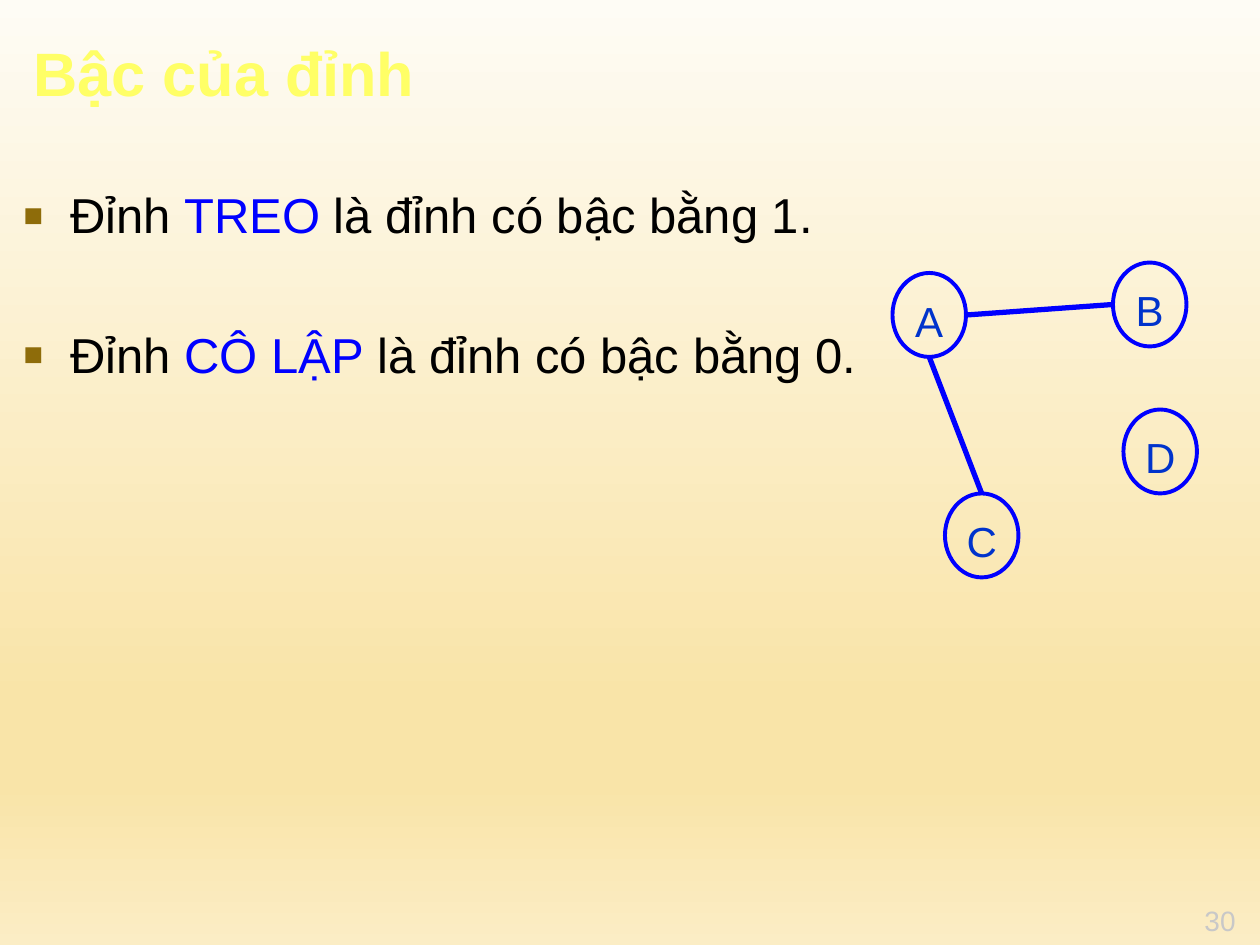
from dataclasses import dataclass

from lxml.etree import SubElement
from pptx import Presentation
from pptx.dml.color import RGBColor
from pptx.enum.shapes import MSO_CONNECTOR, MSO_SHAPE
from pptx.enum.text import MSO_ANCHOR, PP_ALIGN
from pptx.oxml.ns import qn
from pptx.slide import Slide
from pptx.text.text import TextFrame, _Paragraph
from pptx.util import Pt


@dataclass(frozen=True)
class Theme:
    font: str = "Arial"
    title: str = "FFFF66"
    body: str = "000000"
    accent: str = "0000FF"
    vertex_label: str = "0033CC"
    bullet: str = "8E6C0A"
    page: str = "C8C8C8"
    background: tuple = ((0, "FEFCF5"), (74, "F9E4A8"), (83, "F9E4A8"), (100, "FBEDC5"))
    title_size: float = 35
    body_size: float = 28
    vertex_size: float = 24
    page_size: float = 16


@dataclass(frozen=True)
class Vertex:
    label: str
    left: float
    top: float
    width: float = 42
    height: float = 48

    @property
    def middle(self) -> float:
        return self.top + self.height / 2

    @property
    def centre(self) -> float:
        return self.left + self.width / 2


@dataclass(frozen=True)
class Definition:
    before: str
    term: str
    after: str
    space_before: float


THEME = Theme()
A = Vertex("A", 510, 156)
B = Vertex("B", 636, 150)
C = Vertex("C", 540, 282)
D = Vertex("D", 642, 234)
EDGES = (
    ((A.left + A.width, A.middle), (B.left, B.middle)),
    ((A.centre, A.top + A.height), (C.centre, C.top)),
)
DEFINITIONS = (
    Definition("Đỉnh ", "TREO", " là đỉnh có bậc bằng 1.", 3),
    Definition("Đỉnh ", "CÔ LẬP", " là đỉnh có bậc bằng 0.", 46),
)


def paint_background(slide: Slide) -> None:
    fill = slide.background.fill
    fill.gradient()
    fill.gradient_angle = 270
    stops = slide.background._cSld.find(".//" + qn("a:gsLst"))
    for stop in list(stops):
        stops.remove(stop)
    for percent, color in THEME.background:
        stop = SubElement(stops, qn("a:gs"), pos=str(percent * 1000))
        SubElement(stop, qn("a:srgbClr"), val=color)


def add_run(paragraph: _Paragraph, text: str, size: float, color: str, bold: bool = False) -> None:
    run = paragraph.add_run()
    run.text = text
    run.font.name = THEME.font
    run.font.size = Pt(size)
    run.font.bold = bold
    run.font.color.rgb = RGBColor.from_string(color)


def add_text_frame(slide: Slide, left: float, top: float, width: float, height: float) -> TextFrame:
    frame = slide.shapes.add_textbox(Pt(left), Pt(top), Pt(width), Pt(height)).text_frame
    frame.word_wrap = True
    return frame


def clear_margins(frame: TextFrame) -> None:
    frame.margin_left = frame.margin_right = frame.margin_top = frame.margin_bottom = 0
    frame.word_wrap = False


def add_bullet(paragraph: _Paragraph) -> None:
    properties = paragraph._p.get_or_add_pPr()
    properties.set("marL", str(Pt(27)))
    properties.set("indent", str(Pt(-27)))
    color = SubElement(properties, qn("a:buClr"))
    SubElement(color, qn("a:srgbClr"), val=THEME.bullet)
    SubElement(properties, qn("a:buSzPct"), val="130000")
    SubElement(properties, qn("a:buFont"), typeface=THEME.font)
    SubElement(properties, qn("a:buChar"), char="▪")


def draw_definitions(slide: Slide) -> None:
    frame = add_text_frame(slide, 6, 102, 504, 348)
    for index, definition in enumerate(DEFINITIONS):
        paragraph = frame.add_paragraph() if index else frame.paragraphs[0]
        paragraph.space_before = Pt(definition.space_before)
        add_bullet(paragraph)
        add_run(paragraph, definition.before, THEME.body_size, THEME.body)
        add_run(paragraph, definition.term, THEME.body_size, THEME.accent)
        add_run(paragraph, definition.after, THEME.body_size, THEME.body)


def draw_vertex(slide: Slide, vertex: Vertex) -> None:
    oval = slide.shapes.add_shape(
        MSO_SHAPE.OVAL, Pt(vertex.left), Pt(vertex.top), Pt(vertex.width), Pt(vertex.height)
    )
    oval.shadow.inherit = False
    oval.fill.background()
    oval.line.color.rgb = RGBColor.from_string(THEME.accent)
    oval.line.width = Pt(2.25)
    frame = oval.text_frame
    clear_margins(frame)
    frame.margin_top = Pt(6)
    frame.vertical_anchor = MSO_ANCHOR.MIDDLE
    frame.paragraphs[0].alignment = PP_ALIGN.CENTER
    add_run(frame.paragraphs[0], vertex.label, THEME.vertex_size, THEME.vertex_label)


def draw_edge(slide: Slide, start: tuple[float, float], end: tuple[float, float]) -> None:
    edge = slide.shapes.add_connector(
        MSO_CONNECTOR.STRAIGHT, *(Pt(value) for value in start + end)
    )
    edge.line.color.rgb = RGBColor.from_string(THEME.accent)
    edge.line.width = Pt(3)
    SubElement(edge._element.spPr, qn("a:effectLst"))


def main() -> None:
    presentation = Presentation()
    presentation.slide_width, presentation.slide_height = Pt(720), Pt(540)
    slide = presentation.slides.add_slide(presentation.slide_layouts[6])
    paint_background(slide)

    page_number = add_text_frame(slide, 688.3, 516.2, 19.4, 19.4)
    clear_margins(page_number)
    add_run(page_number.paragraphs[0], "30", THEME.page_size, THEME.page)

    draw_definitions(slide)
    for vertex in (A, B, C, D):
        draw_vertex(slide, vertex)
    for start, end in EDGES:
        draw_edge(slide, start, end)

    title = add_text_frame(slide, 12, 16.5, 462, 49.5)
    add_run(title.paragraphs[0], "Bậc của đỉnh", THEME.title_size, THEME.title, bold=True)
    presentation.save("out.pptx")


if __name__ == "__main__":
    main()
